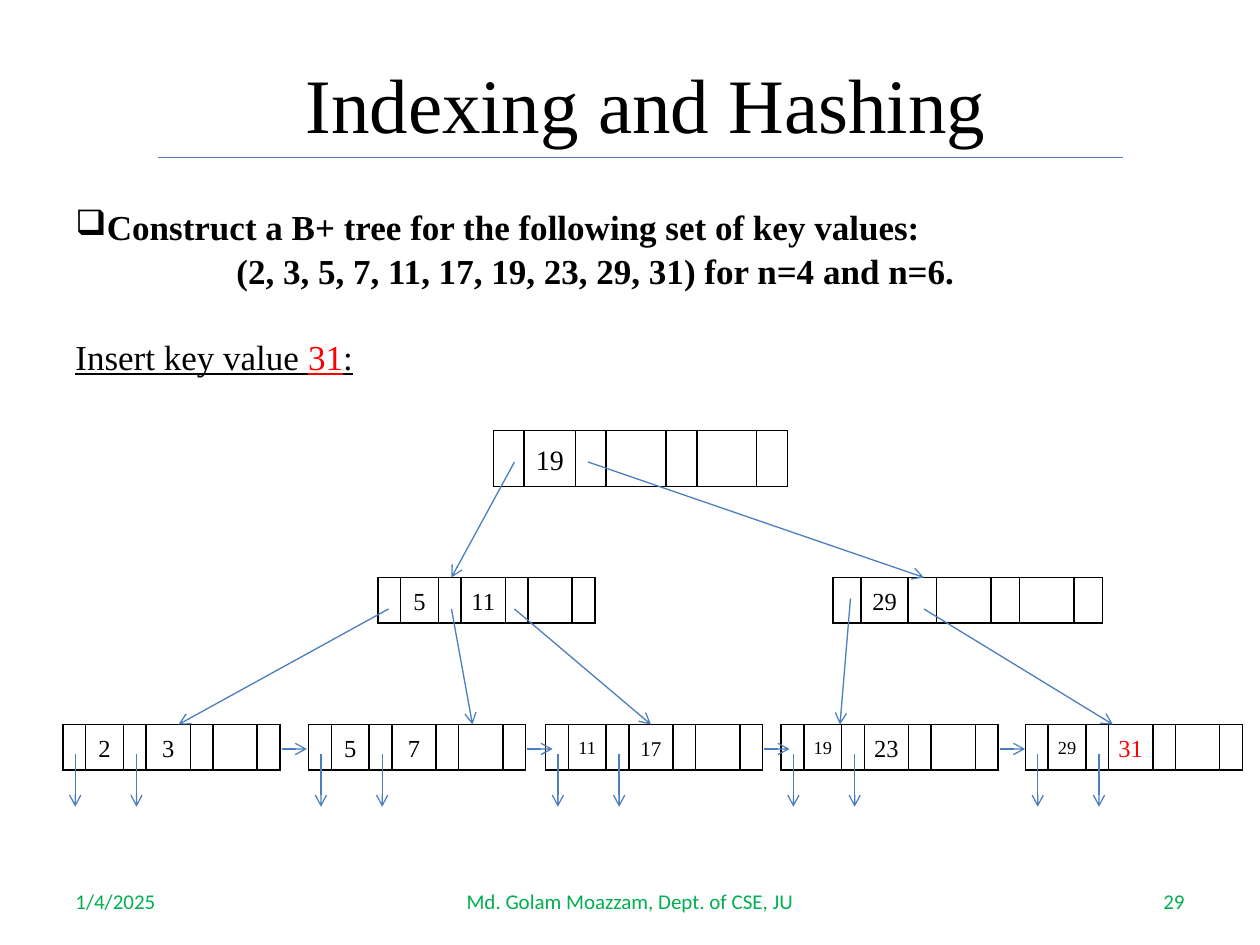
from lxml.etree import SubElement
from pptx import Presentation
from pptx.dml.color import RGBColor
from pptx.enum.shapes import MSO_CONNECTOR
from pptx.enum.text import MSO_ANCHOR, PP_ALIGN
from pptx.oxml.ns import qn
from pptx.util import Pt

BLACK = RGBColor(0x00, 0x00, 0x00)
RED = RGBColor(0xFF, 0x00, 0x00)
GREEN = RGBColor(0x00, 0xB0, 0x50)
BLUE = RGBColor(0x4B, 0x7E, 0xBC)
SERIF = "Times New Roman"
SANS = "Calibri"

# A node alternates pointer and key cells
CELL_WEIGHTS = (18, 30, 18, 35, 18, 35, 18)
LEAF_WIDTH, LEAF_HEIGHT = 124, 26


def add_run(paragraph, text, size, font=SERIF, color=BLACK, bold=False, underline=False):
    run = paragraph.add_run()
    run.text = text
    run.font.size = Pt(size)
    run.font.name = font
    run.font.color.rgb = color
    run.font.bold = bold
    run.font.underline = underline


def add_text_box(slide, left, top, width, height, anchor=MSO_ANCHOR.MIDDLE):
    shape = slide.shapes.add_textbox(Pt(left), Pt(top), Pt(width), Pt(height))
    shape.text_frame.word_wrap = True
    shape.text_frame.vertical_anchor = anchor
    return shape.text_frame


def add_line(slide, start, end, arrow=True):
    points = [Pt(value) for value in (*start, *end)]
    connector = slide.shapes.add_connector(MSO_CONNECTOR.STRAIGHT, *points)
    connector.line.color.rgb = BLUE
    connector.line.width = Pt(0.75)
    properties = connector._element.spPr
    if arrow:
        SubElement(properties.find(qn("a:ln")), qn("a:tailEnd"), type="arrow")
    SubElement(properties, qn("a:effectLst"))


def set_indent(paragraph, left, first=0):
    properties = paragraph._p.get_or_add_pPr()
    properties.set("marL", str(Pt(left)))
    properties.set("indent", str(Pt(first)))
    return properties


def style_cell(cell):
    cell.margin_left = cell.margin_right = Pt(5)
    cell.margin_top = cell.margin_bottom = 0
    cell.vertical_anchor = MSO_ANCHOR.MIDDLE
    properties = cell._tc.get_or_add_tcPr()
    for side in ("a:lnL", "a:lnR", "a:lnT", "a:lnB"):
        border = SubElement(properties, qn(side), w=str(Pt(1)))
        fill = SubElement(border, qn("a:solidFill"))
        SubElement(fill, qn("a:srgbClr"), val=str(BLACK))
    cell.fill.background()


def add_node(slide, left, top, width, height, keys):
    """Draw one tree node; keys are (text, size, color) from left to right."""
    frame = slide.shapes.add_table(1, len(CELL_WEIGHTS), Pt(left), Pt(top), Pt(width), Pt(height))
    table = frame.table
    table.first_row = table.horz_banding = False
    table.rows[0].height = Pt(height)
    for index, weight in enumerate(CELL_WEIGHTS):
        table.columns[index].width = Pt(width * weight / sum(CELL_WEIGHTS))
        style_cell(table.cell(0, index))
    for index, (text, size, color) in enumerate(keys):
        paragraph = table.cell(0, 2 * index + 1).text_frame.paragraphs[0]
        paragraph.alignment = PP_ALIGN.CENTER
        paragraph.line_spacing = 1.15
        add_run(paragraph, text, size, color=color)


def add_title(slide, left, top, width, height):
    paragraph = add_text_box(slide, left, top, width, height).paragraphs[0]
    paragraph.alignment = PP_ALIGN.CENTER
    add_run(paragraph, "Indexing and Hashing", 44)
    # Rule under the title
    add_line(slide, (left - 6, top + height), (left + width, top + height), arrow=False)


def add_question(slide, left, top, width, height):
    frame = add_text_box(slide, left, top, width, height, MSO_ANCHOR.TOP)

    # Bulleted task
    task = frame.paragraphs[0]
    SubElement(set_indent(task, 18, -18), qn("a:buChar"), char="❑")
    add_run(task, "Construct a B+ tree for the following set of key values:", 20, bold=True)

    # Key values
    values = frame.add_paragraph()
    set_indent(values, 92)
    values.space_before = Pt(1)
    add_run(values, "(2, 3, 5, 7, 11, 17, 19, 23, 29, 31) for n=4 and n=6.", 20, bold=True)

    # Current step
    step = frame.add_paragraph()
    step.space_before = Pt(25)
    for text, color in (("Insert key value ", BLACK), ("31", RED), (":", BLACK)):
        add_run(step, text, 20, color=color, underline=True)


def add_tree(slide, left, top):
    # Root and inner nodes
    add_node(slide, left + 246, top, 168, 32, [("19", 16, BLACK)])
    add_node(slide, left + 180, top + 84, LEAF_WIDTH, LEAF_HEIGHT,
             [("5", 14, BLACK), ("11", 14, BLACK)])
    add_node(slide, left + 440, top + 84, 154, LEAF_HEIGHT, [("29", 14, BLACK)])

    # Leaves with their record pointers and next-leaf arrows
    leaf_top = top + 168
    leaves = [
        (0, [("2", 14, BLACK), ("3", 14, BLACK)]),
        (140.4, [("5", 14, BLACK), ("7", 14, BLACK)]),
        (275.8, [("11", 10.5, BLACK), ("17", 12, BLACK)]),
        (410.4, [("19", 10.5, BLACK), ("23", 14, BLACK)]),
        (550, [("29", 10.5, BLACK), ("31", 14, RED)]),
    ]
    for offset, keys in leaves:
        leaf_left = left + offset
        add_node(slide, leaf_left, leaf_top, LEAF_WIDTH, LEAF_HEIGHT, keys)
    for index, (offset, keys) in enumerate(leaves):
        leaf_left = left + offset
        for pointer in (7, 42):
            x = leaf_left + pointer
            add_line(slide, (x, leaf_top + 17), (x, leaf_top + 47))
        if index < len(leaves) - 1:
            x, y = leaf_left + LEAF_WIDTH + 1, leaf_top + 14
            add_line(slide, (x, y), (x + 14.4, y))

    # Parent to child arrows
    links = [
        ((258, 18), (222, 84)), ((300, 18), (492, 84)),
        ((186, 102), (66, 168)), ((222, 102), (234, 168)), ((258, 102), (336, 168)),
        ((450, 96), (444, 168)), ((492, 102), (600, 168)),
    ]
    for (x1, y1), (x2, y2) in links:
        add_line(slide, (left + x1, top + y1), (left + x2, top + y2))


def add_footer(slide, left, top, width, height):
    side, middle = 168, 228
    parts = [
        (left, side, PP_ALIGN.LEFT, "1/4/2025"),
        (left + (width - middle) / 2, middle, PP_ALIGN.CENTER,
         "Md. Golam Moazzam, Dept. of CSE, JU"),
        (left + width - side, side, PP_ALIGN.RIGHT, "29"),
    ]
    for part_left, part_width, alignment, text in parts:
        paragraph = add_text_box(slide, part_left, top, part_width, height).paragraphs[0]
        paragraph.alignment = alignment
        add_run(paragraph, text, 12, SANS, GREEN)


def main():
    presentation = Presentation()
    presentation.slide_width, presentation.slide_height = Pt(720), Pt(540)
    slide = presentation.slides.add_slide(presentation.slide_layouts[6])
    add_title(slide, 96, 27.5, 546, 62.5)
    add_question(slide, 36, 114, 648, 390)
    add_footer(slide, 36, 500.5, 648, 28.75)
    add_tree(slide, 36, 246)
    presentation.save("out.pptx")


if __name__ == "__main__":
    main()
